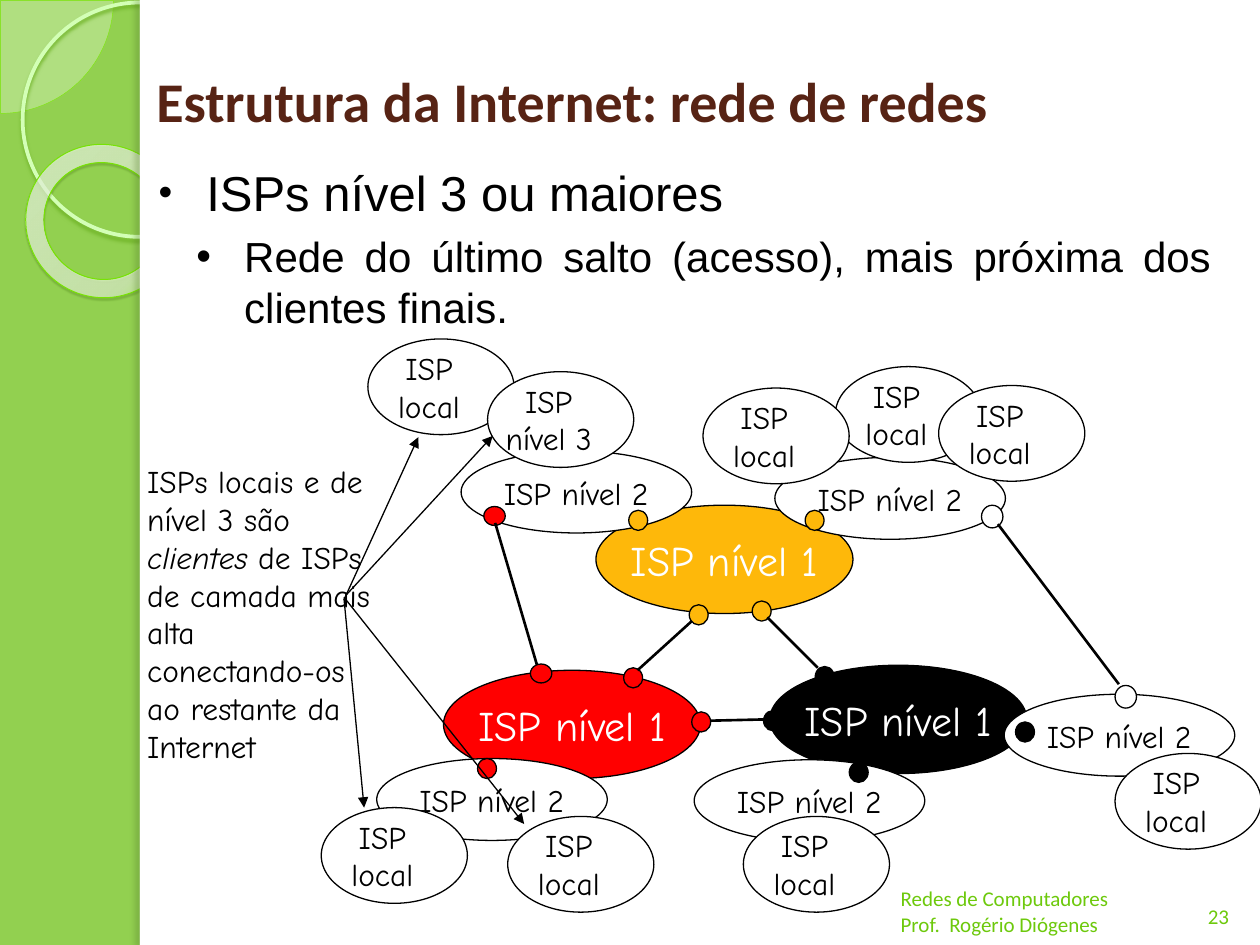
import lxml.etree
import pptx
import pptx.dml.color
import pptx.enum.shapes
import pptx.enum.text
import pptx.oxml
import pptx.oxml.ns
import pptx.util

KIND = pptx.enum.shapes.MSO_SHAPE
ALIGN = pptx.enum.text.PP_ALIGN
ANCHOR = pptx.enum.text.MSO_ANCHOR


def px(n):
    return pptx.util.Emu(n * 9144)


def tint(code):
    return pptx.dml.color.RGBColor.from_string(code)


def node(root, tag, **vals):
    item = lxml.etree.SubElement(root, pptx.oxml.ns.qn(tag))
    for key, val in vals.items():
        item.set(key, str(val))
    return item


class Deck:
    """Holds the style and the current slide, and draws each kind of element."""

    hand = {"name": "Comic Neue", "size": 18, "color": "000000"}
    foot = {"name": "Calibri", "size": 12, "color": "6DC90C"}
    head = {"name": "Calibri", "size": 32, "color": "572314", "bold": True}
    body = {"name": "Arial", "size": 28, "color": "000000"}

    def __init__(self):
        self.file = pptx.Presentation()
        self.file.slide_width, self.file.slide_height = px(1000), px(750)
        self.slide = self.file.slides.add_slide(self.file.slide_layouts[5])
        self.items = self.slide.shapes

    def ground(self, code):
        fill = self.slide.background.fill
        fill.solid()
        fill.fore_color.rgb = tint(code)

    def style(self, run, look):
        for key, val in look.items():
            if key == "color":
                run.font.color.rgb = tint(val)
            else:
                setattr(run.font, key, pptx.util.Pt(val) if key == "size" else val)

    def label(self, para, words, look, align=ALIGN.LEFT):
        para.text = words
        para.alignment = align
        for run in para.runs:
            self.style(run, look)

    def title(self, words, *box):
        item = self.items.title
        item.left, item.top, item.width, item.height = map(px, box)
        item.text_frame.vertical_anchor = ANCHOR.MIDDLE
        self.label(item.text_frame.paragraphs[0], words, self.head)
        item._element.getparent().append(item._element)

    def text(self, lines, box, look, align=ALIGN.LEFT, anchor=ANCHOR.TOP, wrap=True):
        frame = self.items.add_textbox(*map(px, box)).text_frame
        frame.word_wrap, frame.vertical_anchor = wrap, anchor
        for i, words in enumerate(lines):
            para = frame.add_paragraph() if i else frame.paragraphs[0]
            self.label(para, words, look, align)
        return frame

    def bullet(self, para, left, size, space=0):
        props = para._p.get_or_add_pPr()
        props.set("marL", str(px(left)))
        props.set("indent", str(px(-38)))
        node(node(props, "a:buClr"), "a:srgbClr", val="000000")
        node(props, "a:buSzPct", val=size * 1000)
        node(props, "a:buFont", typeface="Arial")
        node(props, "a:buChar", char="•")
        para.space_before = pptx.util.Pt(space)

    def shape(self, kind, box, fill=None, line=None, width=0.75):
        item = self.items.add_shape(kind, *map(px, box))
        if fill:
            item.fill.solid()
            item.fill.fore_color.rgb = tint(fill)
        else:
            item.fill.background()
        if line:
            item.line.color.rgb = tint(line)
            item.line.width = pptx.util.Pt(width)
        else:
            item.line.fill.background()
        item.shadow.inherit = False
        return item

    def shade(self, item, code, alpha, blur, dist, angle):
        glow = node(item._element.spPr.find(pptx.oxml.ns.qn("a:effectLst")), "a:outerShdw",
                    blurRad=int(blur * 12700), dist=int(dist * 12700),
                    dir=angle * 60000, algn="tl", rotWithShape=0)
        node(node(glow, "a:srgbClr", val=code), "a:alpha", val=alpha * 1000)

    def fade(self, item, alpha):
        clr = next(item._element.spPr.iter(pptx.oxml.ns.qn("a:srgbClr")))
        node(clr, "a:alpha", val=alpha * 1000)

    def blend(self, item, stops):
        old = item._element.spPr.find(pptx.oxml.ns.qn("a:solidFill"))
        grad = pptx.oxml.parse_xml(f"<a:gradFill {pptx.oxml.ns.nsdecls('a')}/>")
        steps = node(grad, "a:gsLst")
        for pos, code, alpha in stops:
            clr = node(node(steps, "a:gs", pos=pos * 1000), "a:srgbClr", val=code)
            node(clr, "a:alpha", val=alpha * 1000)
        node(node(grad, "a:path", path="circle"), "a:fillToRect",
             l=-408000, t=-50000, r=508000, b=150000)
        old.getparent().replace(old, grad)

    def oval(self, box, fill):
        return self.shape(KIND.OVAL, box, fill, "000000")

    def port(self, x, y, fill, wide=15, high=16):
        self.oval((x, y, wide, high), fill)

    def core(self, x, y, fill):
        frame = self.oval((x, y, 204, 86), fill).text_frame
        frame.word_wrap, frame.vertical_anchor = False, ANCHOR.MIDDLE
        look = {**self.hand, "size": 24, "color": "FFFFFF"}
        self.label(frame.paragraphs[0], "ISP nível 1", look, ALIGN.CENTER)

    def mid(self, x, y):
        self.oval((x, y, 183, 65), "FFFFFF")
        self.text(["ISP nível 2"], (x + 24, y + 13, 147, 40), self.hand, wrap=False)

    def leaf(self, x, y, name="local", shift=12, wide=73):
        self.oval((x, y, 116, 76), "FFFFFF")
        self.text([f"ISP\v{name}"], (x + shift, y + 3, wide, 70), self.hand,
                  ALIGN.CENTER, wrap=False)

    def link(self, ends, width=1.5, arrow=False):
        item = self.items.add_connector(pptx.enum.shapes.MSO_CONNECTOR.STRAIGHT, *map(px, ends))
        item.line.color.rgb = tint("000000")
        item.line.width = pptx.util.Pt(width)
        if arrow:
            node(item.line._get_or_add_ln(), "a:tailEnd", type="triangle")
        node(item._element.spPr, "a:effectLst")


def frame(deck):
    deck.ground("92D050")
    pie = deck.shape(KIND.PIE, (-89, -89, 179, 179), "EEFFE4", "7FE90E", 0.25)
    pie.adjustments[0], pie.adjustments[1] = 0, 54
    deck.fade(pie, 33)
    ring = deck.shape(KIND.OVAL, (18, 2, 186, 186), None, "D3FFB6", 2.15)
    deck.shade(ring, "6DB224", 85, 2, 2, 90)
    donut = deck.shape(KIND.DONUT, (20, 115, 123, 121), "FAFFF6", "77E403", 0.58)
    donut.adjustments[0], donut.rotation = 0.12, 38.6
    deck.blend(donut, [(0, "F4FFEE", 70), (70, "FAFFF6", 55), (100, "83FE00", 60)])
    deck.shade(donut, "366406", 35, 1, 1.2, 75)
    deck.shape(KIND.RECTANGLE, (111, 0, 889, 750), "FFFFFF")
    edge = deck.shape(KIND.RECTANGLE, (111, 0, 8, 750), "FFFFFF")
    deck.shade(edge, "496A25", 25, 3, 3, 180)


def words(deck):
    lines = ["ISPs nível 3 ou maiores",
             "Rede do último salto (acesso), mais próxima dos clientes finais."]
    first, last = deck.text(lines, (116, 124, 855, 145), deck.body, ALIGN.JUSTIFY).paragraphs
    deck.bullet(first, 38, 80)
    deck.bullet(last, 68, 100, 5.5)
    last.level = 1
    deck.style(last.runs[0], {"size": 24})
    deck.title("Estrutura da Internet: rede de redes", 114, 17, 870, 125)
    deck.text(["23"], (942, 690, 50, 52), deck.foot, ALIGN.CENTER, ANCHOR.BOTTOM)
    deck.text(["Redes de Computadores", "Prof.  Rogério Diógenes"], (705, 696, 276, 52),
              deck.foot, anchor=ANCHOR.BOTTOM)


def net(deck):
    red, gold, black, white = "FF0000", "FEB80A", "000000", "FFFFFF"
    for spot in [(352, 532, red), (473, 401, gold), (611, 528, black)]:
        deck.core(*spot)
    for spot in [(647, 529, black), (597, 477, gold), (547, 480, gold),
                 (495, 530, red), (549, 565, red), (606, 564, black)]:
        deck.port(*spot)
    for ends in [(564, 572, 606, 571), (609, 490, 649, 530), (506, 532, 549, 493)]:
        deck.link(ends)
    for x, y, *port in [(615, 363, 639, 405, gold), (366, 358, 499, 405, gold),
                        (299, 602, 379, 602, red), (551, 603, 674, 605, black),
                        (797, 551, 806, 573, black)]:
        deck.mid(x, y)
        deck.port(*port)
    deck.port(384, 402, red, 17, 15)
    deck.link((393, 415, 428, 534))
    deck.port(421, 527, red, 17, 15)
    deck.port(779, 401, white, 17, 18)
    deck.port(885, 544, white, 17, 18)
    deck.link((792, 416, 888, 543))
    for spot in [(663, 291), (558, 308), (745, 306), (255, 641), (292, 269),
                 (387, 295, "nível 3", 1, 95), (403, 648), (590, 648), (885, 598)]:
        deck.leaf(*spot)


def note(deck):
    para = deck.text(["ISPs locais e de nível 3 são "], (107, 362, 197, 280),
                     deck.hand).paragraphs[0]
    for part, slant in [("clientes ", True), ("de ISPs de camada mais alta "
                                              "conectando-os ao restante da Internet", False)]:
        run = para.add_run()
        run.text = part
        deck.style(run, {**deck.hand, "italic": slant})
    for ends in [(273, 476, 332, 347), (275, 472, 391, 346),
                 (273, 475, 289, 641), (273, 474, 416, 654)]:
        deck.link(ends, 0.75, True)


def main():
    deck = Deck()
    for step in (frame, words, net, note):
        step(deck)
    deck.file.save("out.pptx")


if __name__ == "__main__":
    main()
